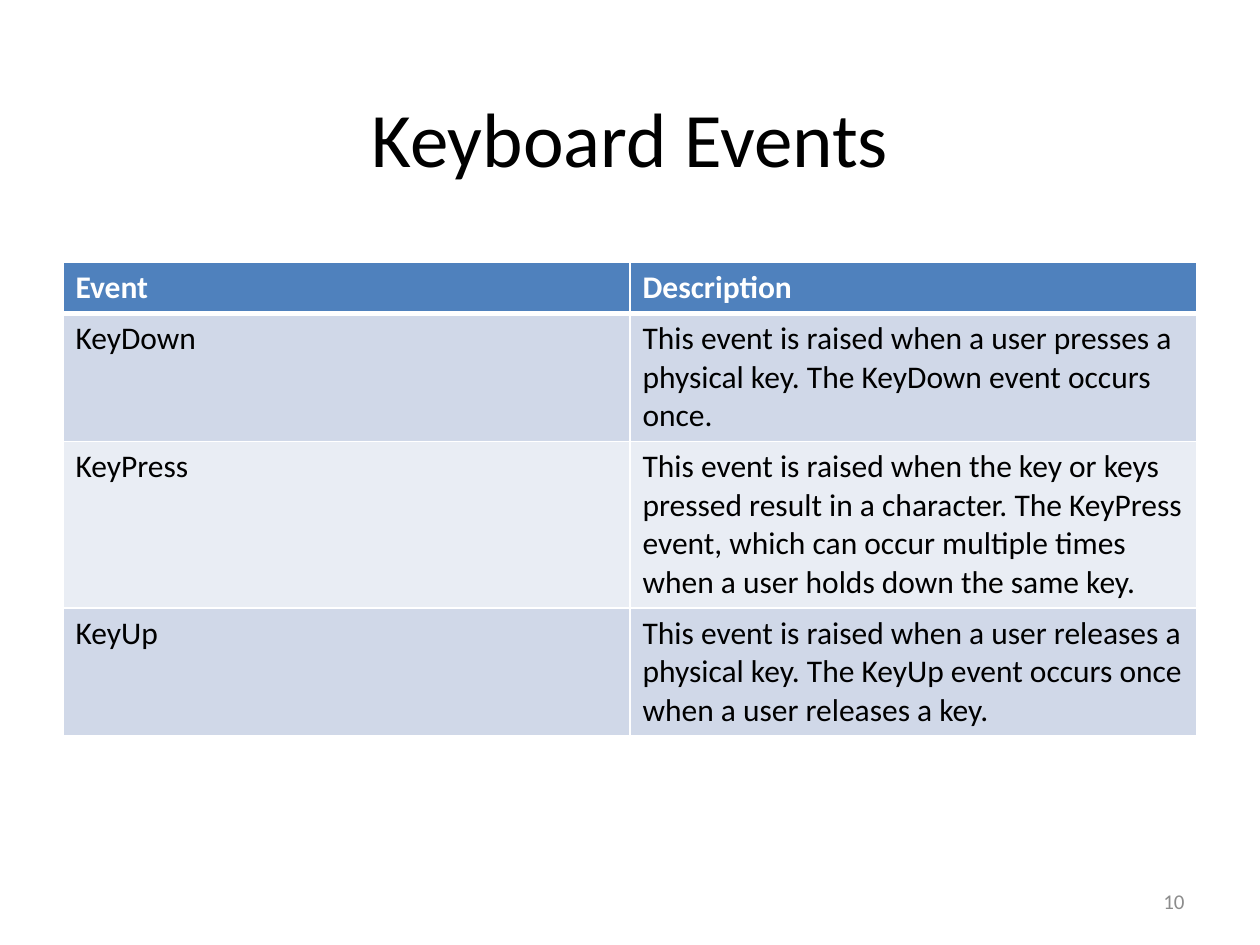
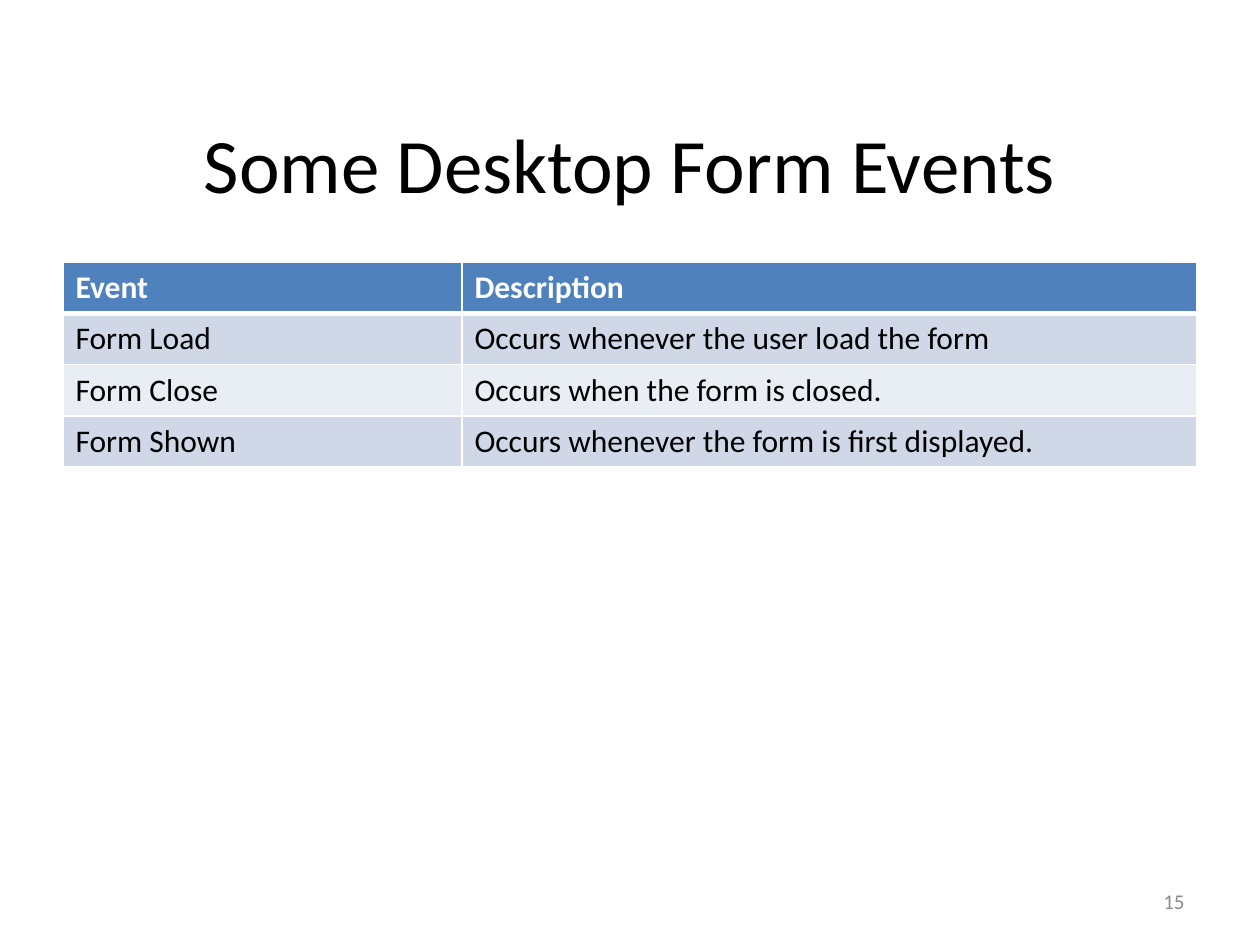
"""Build two slides that describe keyboard and form events in tables."""
import pptx
import pptx.util
import pptx.dml.color
import pptx.enum.text
import pptx.oxml
import pptx.oxml.ns

Pt = pptx.util.Pt
RGBColor = pptx.dml.color.RGBColor
ALIGN = pptx.enum.text.PP_ALIGN
MIDDLE = pptx.enum.text.MSO_ANCHOR.MIDDLE

BLACK = RGBColor(0x00, 0x00, 0x00)
WHITE = RGBColor(0xFF, 0xFF, 0xFF)
GREY = RGBColor(0x8C, 0x8C, 0x8C)
HEADER_BLUE = RGBColor(0x4F, 0x81, 0xBD)
BANDS = (RGBColor(0xD0, 0xD8, 0xE8), RGBColor(0xE9, 0xED, 0xF4))

HEADINGS = ("Event", "Description")
SLIDES = [
    {
        "title": "Keyboard Events",
        "title_height": 60,
        "number": "10",
        "event_width": 324,
        "events": [
            ("KeyDown", "This event is raised when a user presses a physical key. "
                        "The KeyDown event occurs once."),
            ("KeyPress", "This event is raised when the key or keys pressed result in a "
                         "character. The KeyPress event, which can occur multiple times "
                         "when a user holds down the same key."),
            ("KeyUp", "This event is raised when a user releases a physical key. "
                      "The KeyUp event occurs once when a user releases a key."),
        ],
    },
    {
        "title": "Some Desktop Form Events",
        "title_height": 90,
        "number": "15",
        "event_width": 228,
        "events": [
            ("Form Load", "Occurs whenever the user load the form"),
            ("Form Close", "Occurs when the form is closed."),
            ("Form Shown", "Occurs whenever the form is first displayed."),
        ],
    },
]

PAGE_WIDTH, PAGE_HEIGHT = 720, 540
MARGIN = 36
CONTENT_WIDTH = PAGE_WIDTH - 2 * MARGIN
TITLE_TOP, TABLE_TOP = 48, 150
ROW_HEIGHT = 29.2
NUMBER_TOP, NUMBER_WIDTH, NUMBER_HEIGHT = 500.5, 168, 28.75
THIN, THICK = 1, 3

TITLE_FONT = {"name": "Calibri", "size": Pt(44), "bold": False}
NUMBER_FONT = {"name": "Calibri", "size": Pt(12), "bold": False}
HEADER_FONT = {"name": "Calibri", "size": Pt(18), "bold": True}
BODY_FONT = {**HEADER_FONT, "bold": False}


def write(frame, text, font, color, align):
    """Put one formatted paragraph in a text frame."""
    para = frame.paragraphs[0]
    para.alignment = align
    span = para.add_run()
    span.text = text
    for name, value in font.items():
        setattr(span.font, name, value)
    span.font.color.rgb = color


def add_borders(cell, top, bottom):
    """Give a cell white borders of the stated widths."""
    properties = cell._tc.get_or_add_tcPr()
    for side, width in (("L", THIN), ("R", THIN), ("T", top), ("B", bottom)):
        properties.append(pptx.oxml.parse_xml(
            f'<a:ln{side} {pptx.oxml.ns.nsdecls("a")} w="{Pt(width)}">'
            f'<a:solidFill><a:srgbClr val="{WHITE}"/></a:solidFill></a:ln{side}>'))


def add_title(page, text, height):
    """Place and format the title."""
    title = page.shapes.title
    place = {"left": MARGIN, "top": TITLE_TOP, "width": CONTENT_WIDTH, "height": height}
    for name, value in place.items():
        setattr(title, name, Pt(value))
    title.text_frame.vertical_anchor = MIDDLE
    write(title.text_frame, text, TITLE_FONT, BLACK, ALIGN.CENTER)


def add_event_table(page, events, event_width):
    """Add a banded table of events under a header row."""
    rows = [HEADINGS, *events]
    table = page.shapes.add_table(
        len(rows), len(HEADINGS), Pt(MARGIN), Pt(TABLE_TOP),
        Pt(CONTENT_WIDTH), Pt(ROW_HEIGHT * len(rows))).table
    for column, width in zip(table.columns, (event_width, CONTENT_WIDTH - event_width)):
        column.width = Pt(width)
    for index, texts in enumerate(rows):
        header = index == 0
        fill = HEADER_BLUE if header else BANDS[(index - 1) % 2]
        font, color = (HEADER_FONT, WHITE) if header else (BODY_FONT, BLACK)
        for cell, text in zip(table.rows[index].cells, texts):
            add_borders(cell, THICK if index == 1 else THIN, THICK if header else THIN)
            cell.fill.solid()
            cell.fill.fore_color.rgb = fill
            write(cell.text_frame, text, font, color, ALIGN.LEFT)


def add_number(page, number):
    """Add the slide number at the lower right."""
    box = page.shapes.add_textbox(
        Pt(PAGE_WIDTH - MARGIN - NUMBER_WIDTH), Pt(NUMBER_TOP),
        Pt(NUMBER_WIDTH), Pt(NUMBER_HEIGHT))
    box.text_frame.word_wrap = True
    box.text_frame.vertical_anchor = MIDDLE
    write(box.text_frame, number, NUMBER_FONT, GREY, ALIGN.RIGHT)


def main():
    """Build and save the deck."""
    deck = pptx.Presentation()
    deck.slide_width, deck.slide_height = Pt(PAGE_WIDTH), Pt(PAGE_HEIGHT)
    for content in SLIDES:
        page = deck.slides.add_slide(deck.slide_layouts.get_by_name("Title Only"))
        add_title(page, content["title"], content["title_height"])
        add_event_table(page, content["events"], content["event_width"])
        add_number(page, content["number"])
    deck.save("out.pptx")


if __name__ == "__main__":
    main()
